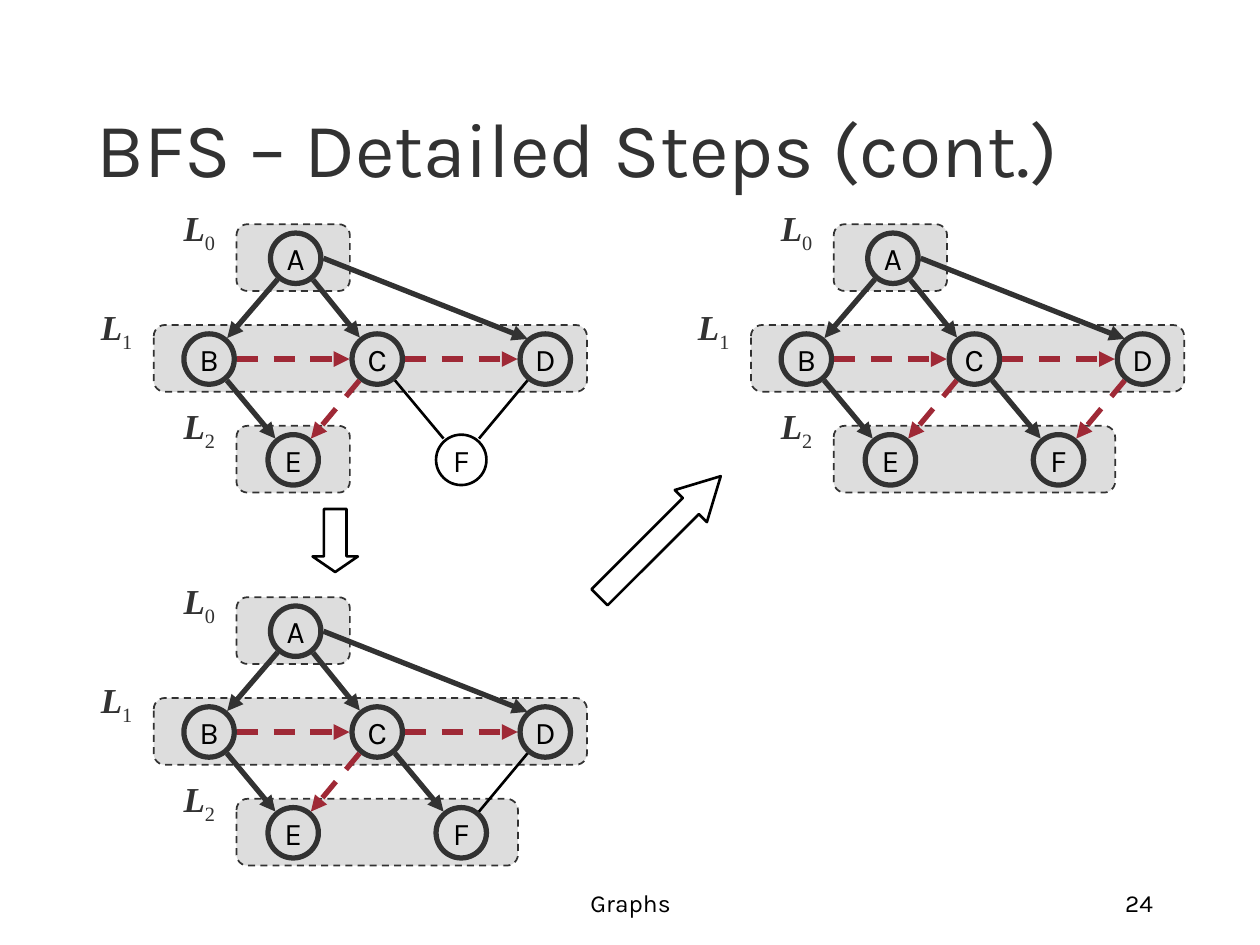
from math import hypot

from lxml.etree import SubElement
from pptx import Presentation
from pptx.dml.color import RGBColor
from pptx.enum.dml import MSO_LINE
from pptx.enum.shapes import MSO_CONNECTOR, MSO_SHAPE
from pptx.enum.text import MSO_ANCHOR, PP_ALIGN
from pptx.oxml.ns import qn
from pptx.util import Inches, Pt

WIDTH, HEIGHT = 10, 7.5
SANS, SERIF = "Karla", "Times New Roman"
DARK, RED, GRAY, BLACK, WHITE = "323232", "9F2936", "DDDDDD", "000000", "FFFFFF"

LEFT, TOP = 1.66, 2.05
COLUMN, ROW, LABEL_ROW = 0.667, 0.8, 0.785
RADIUS, REACH = 0.2, 0.22
NODES = {"A": (1.03, 0), "B": (0, 1), "C": (2, 1), "D": (4, 1), "E": (1, 2), "F": (3, 2)}
TREE = ["AB", "AC", "AD", "BE"]
CROSS = ["BC", "CD", "CE"]


def color(value):
    return RGBColor.from_string(value)


def inches(*values):
    return [Inches(value) for value in values]


def set_line(line, value, width, dashed=False):
    line.color.rgb = color(value)
    line.width = Pt(width)
    if dashed:
        line.dash_style = MSO_LINE.DASH


def write(para, text, font=SANS, size=18, fill=BLACK, bold=False, italic=False, baseline=0):
    span = para.add_run()
    span.text = text
    span.font.name = font
    span.font.size = Pt(size)
    span.font.color.rgb = color(fill)
    span.font.bold = bold
    span.font.italic = italic
    if baseline:
        span._r.get_or_add_rPr().set("baseline", str(baseline * 1000))


def add_box(shapes, place, align=PP_ALIGN.CENTER, anchor=MSO_ANCHOR.BOTTOM):
    box = shapes.add_textbox(*inches(*place))
    box.text_frame.word_wrap = True
    box.text_frame.vertical_anchor = anchor
    para = box.text_frame.paragraphs[0]
    para.alignment = align
    return para


def add_outline(shapes, kind, place, line=BLACK, width=1.5, fill=None, dashed=False):
    shape = shapes.add_shape(kind, *inches(*place))
    shape.shadow.inherit = False
    if fill:
        shape.fill.solid()
        shape.fill.fore_color.rgb = color(fill)
    else:
        shape.fill.background()
    set_line(shape.line, line, width, dashed)
    return shape


def add_block_arrow(shapes, place, rotation, head):
    arrow = add_outline(shapes, MSO_SHAPE.RIGHT_ARROW, place)
    arrow.rotation = rotation
    arrow.adjustments[0] = 0.5
    arrow.adjustments[1] = head


def add_level(shapes, level, left, right, top):
    shape = add_outline(shapes, MSO_SHAPE.ROUNDED_RECTANGLE,
                        (left, top + level * ROW - 0.27, right - left, 0.53),
                        line=DARK, width=1, fill=GRAY, dashed=True)
    shape.adjustments[0] = 0.167
    para = add_box(shapes, (left - 0.55, top - 0.46 + level * LABEL_ROW, 0.51, 0.43),
                   anchor=MSO_ANCHOR.TOP)
    write(para, "L", font=SERIF, size=20, fill=DARK, bold=True, italic=True)
    write(para, str(level), font=SERIF, size=20, fill=DARK, baseline=-25)


def add_node(shapes, name, center, visited):
    x, y = center
    node = add_outline(shapes, MSO_SHAPE.OVAL,
                       (x - RADIUS, y - RADIUS, 2 * RADIUS, 2 * RADIUS),
                       line=DARK if visited else BLACK, width=3 if visited else 1.5)
    node.text_frame.word_wrap = False
    node.text_frame.vertical_anchor = MSO_ANCHOR.MIDDLE
    para = node.text_frame.paragraphs[0]
    para.alignment = PP_ALIGN.CENTER
    write(para, name)


def add_edge(shapes, start, end, line=DARK, width=3, dashed=False, arrow=True):
    (x1, y1), (x2, y2) = start, end
    length = hypot(x2 - x1, y2 - y1)
    dx, dy = REACH * (x2 - x1) / length, REACH * (y2 - y1) / length
    ends = (x1 + dx, y1 + dy, x2 - dx, y2 - dy)
    if abs(x2 - x1) > 2 * abs(y2 - y1) > 0:
        ends = (x1 + REACH, y1, x2 - 0.14, y2 - 0.16)
    edge = shapes.add_connector(MSO_CONNECTOR.STRAIGHT, *inches(*ends))
    set_line(edge.line, line, width, dashed)
    if arrow:
        SubElement(edge.line._get_or_add_ln(), qn("a:tailEnd"), type="triangle")
    SubElement(edge._element.spPr, qn("a:effectLst"))


def add_graph(page, dx, dy, last, tree=(), cross=(), plain=()):
    shapes = page.shapes.add_group_shape().shapes
    left, top = LEFT + dx, TOP + dy
    centers = {name: (left + column * COLUMN, top + row * ROW)
               for name, (column, row) in NODES.items()}
    inner = left + COLUMN - 0.45
    add_level(shapes, 2, inner, centers[last][0] + 0.45, top)
    add_level(shapes, 1, left - 0.44, centers["D"][0] + 0.33, top)
    add_level(shapes, 0, inner, inner + 0.9, top)
    for name, center in centers.items():
        add_node(shapes, name, center, visited=name <= last)
    for start, end in [*TREE, *tree]:
        add_edge(shapes, centers[start], centers[end])
    for start, end in [*CROSS, *cross]:
        add_edge(shapes, centers[start], centers[end], line=RED, dashed=True)
    for start, end in plain:
        add_edge(shapes, centers[start], centers[end], line=BLACK, width=1.5, arrow=False)


def main():
    deck = Presentation()
    deck.slide_width, deck.slide_height = inches(WIDTH, HEIGHT)
    page = deck.slides.add_slide(deck.slide_layouts[6])
    page.background.fill.solid()
    page.background.fill.fore_color.rgb = color(WHITE)

    title = add_box(page.shapes, (0.67, 0.33, 8.5, 1.25), align=PP_ALIGN.LEFT)
    write(title, "BFS – Detailed Steps (cont.)", size=44, fill=DARK)
    write(add_box(page.shapes, (3.42, 6.83, 3.17, 0.5)), "Graphs", size=14)
    write(add_box(page.shapes, (7.17, 6.83, 2.08, 0.5), align=PP_ALIGN.RIGHT), "24", size=14)

    add_graph(page, 0, 0, "E", plain=["CF", "DF"])
    add_graph(page, 0, 2.96, "F", tree=["CF"], plain=["DF"])
    add_graph(page, 4.74, 0, "F", tree=["CF"], cross=["DF"])
    add_block_arrow(page.shapes, (2.41, 4.11, 0.5, 0.36), 90, 0.343)
    add_block_arrow(page.shapes, (4.56, 4.08, 1.36, 0.36), 315, 0.932)
    deck.save("out.pptx")


if __name__ == "__main__":
    main()
